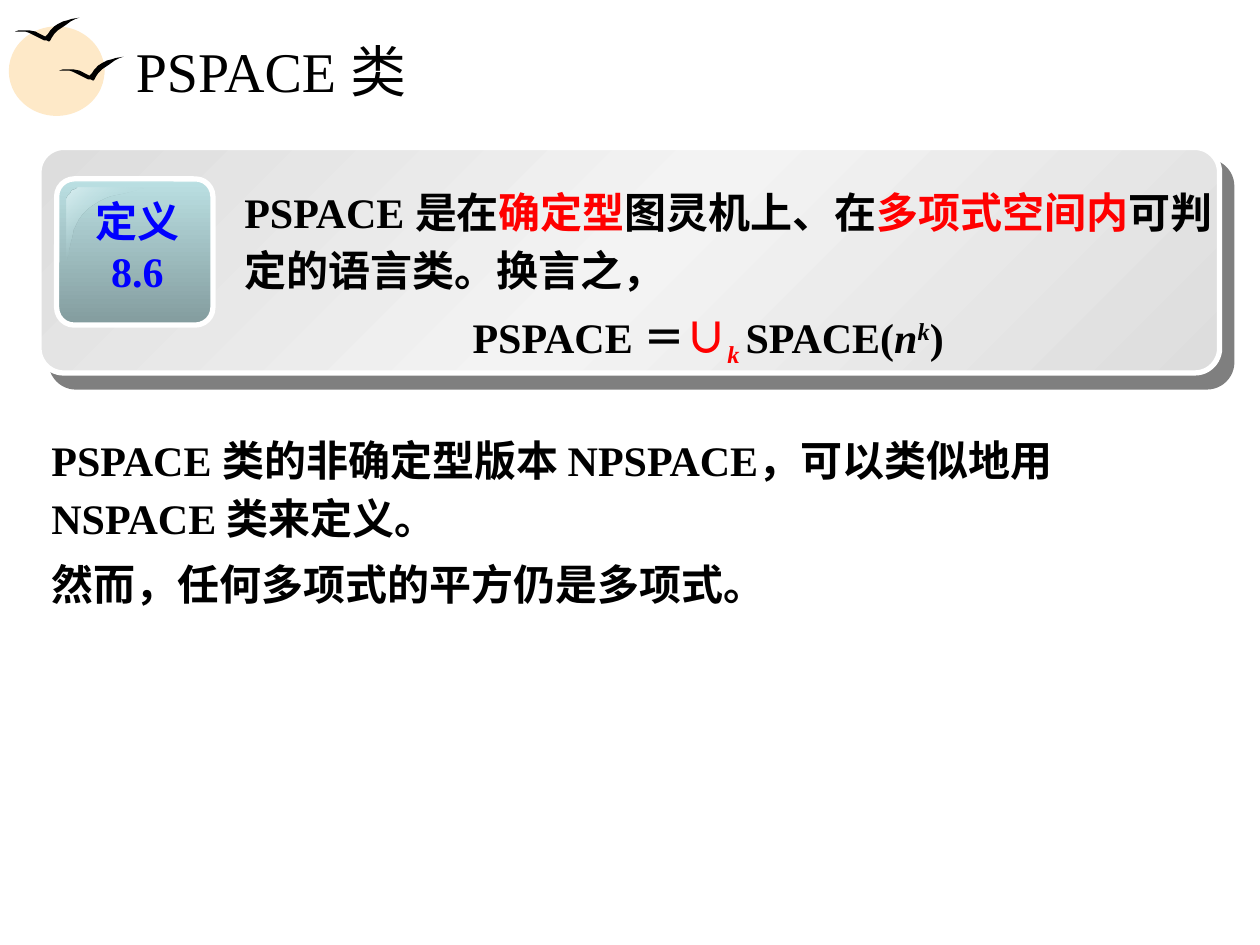
import pptx
import pptx.util
import pptx.dml.color
import pptx.enum.lang
import pptx.enum.shapes
import pptx.enum.text
import pptx.oxml
import pptx.oxml.ns
import lxml.etree as etree

THEME = {
    "font": "Times New Roman", "title": 32, "body": 24,
    "ink": "000000", "red": "FF0000", "blue": "0000FF", "white": "FFFFFF",
    "sun": "FEE9C8",
    "card": [(0, "DDDDDD", 100), (50, "F3F3F3", 100), (100, "DDDDDD", 100)],
    "badge": [(0, "BBE0E3", 100), (100, "839C9E", 100)],
    "gloss": [(0, "DAEEF0", 100), (50, "BBE0E3", 0), (100, "DAEEF0", 100)],
}

# Content: paragraphs of (text, colour, style) runs; i italic, + super, - sub
TITLE = [[("PSPACE 类", "ink", "")]]
LABEL = [[("定义8.6", "blue", "b")]]
RULE = [
    [("PSPACE 是在", "ink", "b"), ("确定型", "red", "b"),
     ("图灵机上、在", "ink", "b"), ("多项式空间内", "red", "b"),
     ("可判定的语言类。换言之，", "ink", "b")],
    [("PSPACE ＝", "ink", "b"), ("∪", "red", "b"), ("k ", "red", "bi-"),
     ("SPACE(", "ink", "b"), ("n", "ink", "bi"), ("k", "ink", "bi+"),
     (")", "ink", "b")],
]
NOTES = [
    [("PSPACE 类的非确定型版本 NPSPACE，可以类似地用NSPACE 类来定义。", "ink", "b")],
    [("然而，任何多项式的平方仍是多项式。", "ink", "b")],
]

# Places as percent of slide: left, top, width, height
SPOTS = {
    "suns": [(0.7, 2.8, 7.6, 9.47), (2, 3.73, 6.3, 7.33)],
    "birds": [(4.7, 6), (1.2, 1.87)],
    "title": (9.8, 2.8, 85.3, 9.2),
    "card": (3.1, 15.6, 93.7, 23.87),
    "badge": (4.5, 18.93, 12.4, 15.47),
    "gloss": (5.3, 19.87),
    "label": (6.2, 20, 9.4, 12),
    "rule": (18.4, 18.3, 78.9, 20.63),
    "notes": (3.1, 44.57, 93, 19.7),
}

# Bird outline in hundredths of an inch
BIRD = [
    (0, 11), (3, 10), (6, 10), (11, 10), (16, 11), (20, 13), (24, 15),
    (26, 13), (28, 10), (31, 7), (34, 5), (38, 3), (42, 2), (45, 1), (51, 0),
    (48, 1), (44, 3), (40, 6), (37, 8), (34, 10), (31, 13), (29, 16),
    (28, 18), (27, 19), (25, 18), (23, 18), (19, 16), (15, 14), (11, 12),
    (8, 11), (5, 11), (1, 11),
]

prs = pptx.Presentation()
prs.slide_width, prs.slide_height = pptx.util.Inches(10), pptx.util.Inches(7.5)
slide = prs.slides.add_slide(prs.slide_layouts[6])
KIND = pptx.enum.shapes.MSO_SHAPE
ALIGN = pptx.enum.text.PP_ALIGN


def place(spot):
    sizes = (prs.slide_width, prs.slide_height) * 2
    return [int(size * part / 100) for size, part in zip(sizes, spot)]


def color(name):
    return pptx.dml.color.RGBColor.from_string(THEME[name])


def node(parent, tag, **attrs):
    item = etree.SubElement(parent, pptx.oxml.ns.qn(tag))
    for key, value in attrs.items():
        item.set(key, str(value))
    return item


def tint(parent, code, alpha):
    node(node(parent, "a:srgbClr", val=code), "a:alpha", val=alpha * 1000)


def paint(shape, name, angle=None):
    """Fill with a plain colour, or with gradient stops at an angle."""
    shape.shadow.inherit = False
    shape.line.fill.background()
    if angle is None:
        shape.fill.solid()
        shape.fill.fore_color.rgb = color(name)
        return
    shape.fill.gradient()
    grad = shape.element.spPr.find(pptx.oxml.ns.qn("a:gradFill"))
    for child in list(grad):
        grad.remove(child)
    stops = node(grad, "a:gsLst")
    for pos, code, alpha in THEME[name]:
        tint(node(stops, "a:gs", pos=pos * 1000), code, alpha)
    node(grad, "a:lin", ang=angle * 60000, scaled=0)


def trace(shapes, points, spot):
    pen = shapes.build_freeform(*points[0], scale=9144)
    pen.add_line_segments(points[1:], close=True)
    return pen.convert_to_shape(*place(spot))


def curve(a, b, c, d, steps=12):
    """Points along a cubic curve, after its start."""
    for n in range(1, steps + 1):
        t = n / steps
        u = 1 - t
        yield tuple(round(u**3 * p + 3 * u * u * t * q + 3 * u * t * t * r + t**3 * s, 2)
                    for p, q, r, s in zip(a, b, c, d))


def write(shapes, spot, paras, size="body", aligns=(), lead=None):
    box = shapes.add_textbox(*place(spot))
    frame = box.text_frame
    frame.word_wrap = True
    for n, runs in enumerate(paras):
        para = frame.add_paragraph() if n else frame.paragraphs[0]
        para.alignment = aligns[n] if aligns else ALIGN.LEFT
        if lead:
            para.line_spacing = lead
        if n:
            para.space_before = pptx.util.Pt(4.5)
        for text, tone, style in runs:
            run = para.add_run()
            run.text = text
            font = run.font
            font.name, font.size = THEME["font"], pptx.util.Pt(THEME[size])
            font.language_id = pptx.enum.lang.MSO_LANGUAGE_ID.SIMPLIFIED_CHINESE
            font.bold, font.italic = "b" in style, "i" in style
            font.color.rgb = color(tone)
            shift = 30 if "+" in style else -25 if "-" in style else 0
            if shift:
                font._element.set("baseline", str(shift * 1000))
    return frame


# Sun and birds
for spot in SPOTS["suns"]:
    paint(slide.shapes.add_shape(KIND.OVAL, *place(spot)), "sun")
for spot in SPOTS["birds"]:
    paint(trace(slide.shapes, BIRD, spot), "ink")

# Title
head = write(slide.shapes, SPOTS["title"], TITLE, "title")
head.vertical_anchor = pptx.enum.text.MSO_ANCHOR.MIDDLE

# Definition card and badge
group = slide.shapes.add_group_shape().shapes
for name, bend, angle in (("card", 0.11, 45), ("badge", 0.12, 90)):
    panel = group.add_shape(KIND.ROUNDED_RECTANGLE, *place(SPOTS[name]))
    panel.adjustments[0] = bend
    paint(panel, name, angle)
    panel.line.color.rgb = color("white")
    panel.line.width = pptx.util.Pt(3)
    if name == "card":
        glow = panel.element.spPr.find(pptx.oxml.ns.qn("a:effectLst"))
        cast = node(glow, "a:outerShdw", blurRad=0, dist=pptx.util.Pt(10.6),
                    dir=49 * 60000, algn="ctr", rotWithShape=0)
        tint(cast, THEME["ink"], 50)

# Gloss on the badge
rim = [(12, 0), *curve((12, 0), (6, 0), (0, 5), (0, 12)), (0, 57),
       *curve((0, 57), (3, 58), (1, 30), (17, 17)),
       *curve((17, 17), (32, 4), (62, 3), (61, 0))]
paint(trace(group, rim, SPOTS["gloss"]), "gloss", 45)

# Definition wording
write(group, SPOTS["label"], LABEL, aligns=[ALIGN.CENTER])
rule = write(group, SPOTS["rule"], RULE, aligns=[ALIGN.LEFT, ALIGN.CENTER], lead=1.15)
rule.paragraphs[1]._p.get_or_add_pPr().set("marR", str(pptx.util.Inches(0.33)))

# Remarks
write(slide.shapes, SPOTS["notes"], NOTES, lead=1.15)

prs.save("out.pptx")
